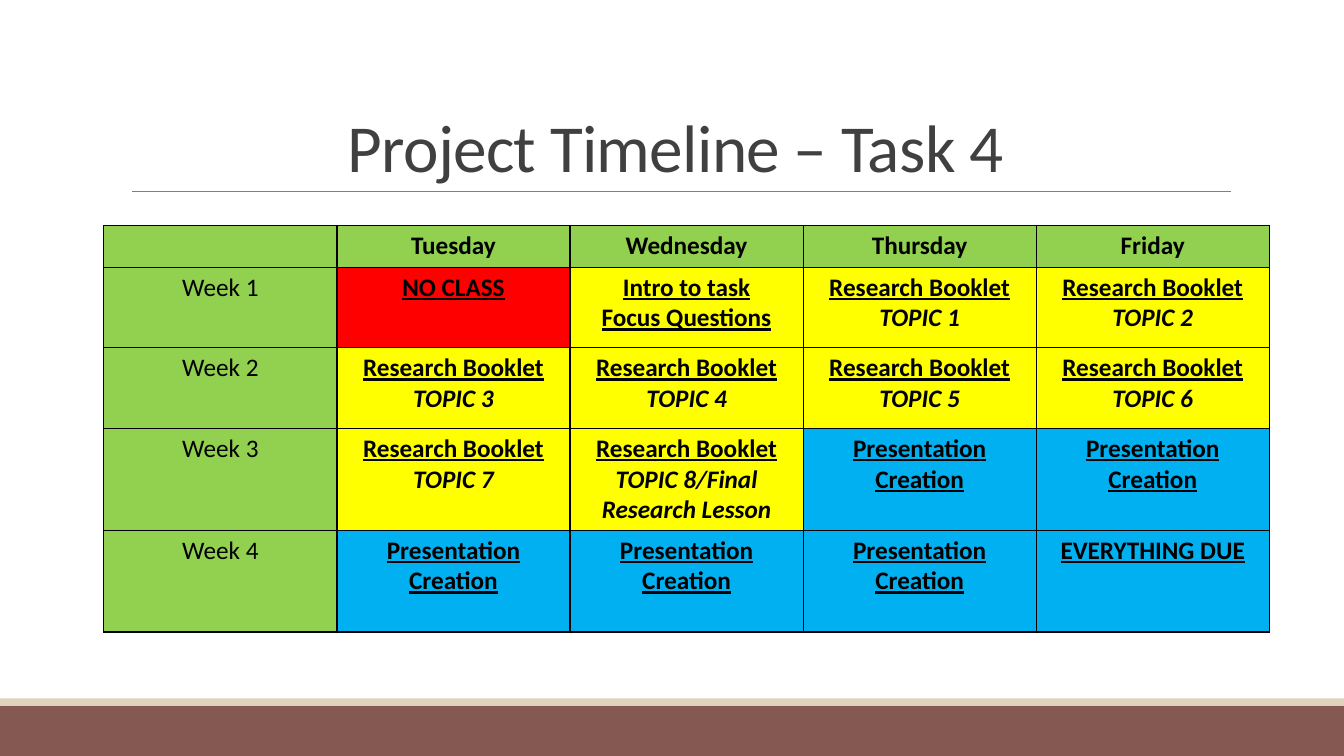
import pptx
import pptx.util
import pptx.dml.color
import pptx.enum.shapes
import pptx.enum.text
import pptx.oxml.ns
import lxml.etree

Inches = pptx.util.Inches
Pt = pptx.util.Pt
RGBColor = pptx.dml.color.RGBColor
qn = pptx.oxml.ns.qn

W, H = 13.33, 7.5
FONT = "Calibri"
BROWN = RGBColor(0x86, 0x58, 0x52)
SAND = RGBColor(0xE1, 0xD2, 0xBF)
RULE = RGBColor(0x80, 0x80, 0x80)
TITLE = RGBColor(0x40, 0x40, 0x40)
BLACK = RGBColor(0, 0, 0)
GREEN = RGBColor(0x92, 0xD0, 0x50)
RED = RGBColor(0xFF, 0, 0)
YELLOW = RGBColor(0xFF, 0xFF, 0)
BLUE = RGBColor(0, 0xB0, 0xF0)

BOOKLET = "Research Booklet"
DAYS = ["Tuesday", "Wednesday", "Thursday", "Friday"]
ROW_HEIGHTS = [0.41, 0.8, 0.8, 1.01, 1.01]


def topic(name):
    return YELLOW, [BOOKLET], [f"TOPIC {name}"]


CREATION = (BLUE, ["Presentation Creation"], [])
WEEKS = [
    [(RED, ["NO CLASS"], []), (YELLOW, ["Intro to task", "Focus Questions"], []),
     topic(1), topic(2)],
    [topic(n) for n in range(3, 7)],
    [topic(7), topic("8/Final Research Lesson"), CREATION, CREATION],
    [CREATION, CREATION, CREATION, (BLUE, ["EVERYTHING DUE"], [])],
]


def add_run(p, text, size, color, bold=False, italic=False, underline=False):
    p.alignment = pptx.enum.text.PP_ALIGN.CENTER
    r = p.add_run()
    r.text = text
    r.font.name = FONT
    r.font.size = Pt(size)
    r.font.color.rgb = color
    r.font.bold = bold
    r.font.italic = italic
    r.font.underline = underline
    return r


def add_footer(s, left, top, width, height):
    band = 0.07
    for y, h, color in [(top + band, height - band, BROWN), (top, band, SAND)]:
        sp = s.shapes.add_shape(pptx.enum.shapes.MSO_SHAPE.RECTANGLE,
                                Inches(left), Inches(y), Inches(width), Inches(h))
        sp.shadow.inherit = False
        sp.fill.solid()
        sp.fill.fore_color.rgb = color
        sp.line.fill.background()


def add_title(s, left, top, width, height, text):
    bottom = top + height
    line = s.shapes.add_connector(pptx.enum.shapes.MSO_CONNECTOR.STRAIGHT,
                                  Inches(left + 0.11), Inches(bottom),
                                  Inches(left + width + 0.01), Inches(bottom))
    line.line.color.rgb = RULE
    line.line.width = Pt(0.5)
    lxml.etree.SubElement(line._element.spPr, qn("a:effectLst"))

    tf = s.shapes.add_textbox(Inches(left), Inches(top),
                              Inches(width), Inches(height)).text_frame
    tf.word_wrap = True
    tf.vertical_anchor = pptx.enum.text.MSO_ANCHOR.BOTTOM
    p = tf.paragraphs[0]
    p.line_spacing = 0.85
    r = add_run(p, text, 48, TITLE)
    r.font._element.set("spc", "-50")


def add_borders(cell):
    tcPr = cell._tc.get_or_add_tcPr()
    for i, side in enumerate(["lnL", "lnR", "lnT", "lnB"]):
        ln = lxml.etree.Element(qn(f"a:{side}"), w=str(Pt(1)))
        fill = lxml.etree.SubElement(ln, qn("a:solidFill"))
        lxml.etree.SubElement(fill, qn("a:srgbClr"), val=str(BLACK))
        tcPr.insert(i, ln)


def fill_cell(cell, color, lines):
    cell.fill.solid()
    cell.fill.fore_color.rgb = color
    add_borders(cell)
    tf = cell.text_frame
    for i, (text, style) in enumerate(lines):
        p = tf.add_paragraph() if i else tf.paragraphs[0]
        add_run(p, text, 18, BLACK, **style)


def add_timeline(s, left, top, width):
    cols = len(DAYS) + 1
    table = s.shapes.add_table(len(ROW_HEIGHTS), cols, Inches(left), Inches(top),
                               Inches(width), Inches(sum(ROW_HEIGHTS))).table
    table.first_row = False
    table.horz_banding = False
    for col in table.columns:
        col.width = Inches(width / cols)
    for row, height in zip(table.rows, ROW_HEIGHTS):
        row.height = Inches(height)

    fill_cell(table.cell(0, 0), GREEN, [])
    for c, day in enumerate(DAYS, 1):
        fill_cell(table.cell(0, c), GREEN, [(day, {"bold": True})])
    for n, week in enumerate(WEEKS, 1):
        fill_cell(table.cell(n, 0), GREEN, [(f"Week {n}", {})])
        for c, (color, tasks, details) in enumerate(week, 1):
            lines = [(t, {"bold": True, "underline": True}) for t in tasks]
            lines += [(t, {"bold": True, "italic": True}) for t in details]
            fill_cell(table.cell(n, c), color, lines)


def main():
    prs = pptx.Presentation()
    prs.slide_width = Inches(W)
    prs.slide_height = Inches(H)
    s = prs.slides.add_slide(prs.slide_layouts[6])
    add_footer(s, 0, H - 0.57, W, 0.57)
    add_title(s, 1.2, 0.31, 11, 1.59, "Project Timeline – Task 4")
    add_timeline(s, 1.03, 2.24, 11.56)
    prs.save("out.pptx")


if __name__ == "__main__":
    main()
